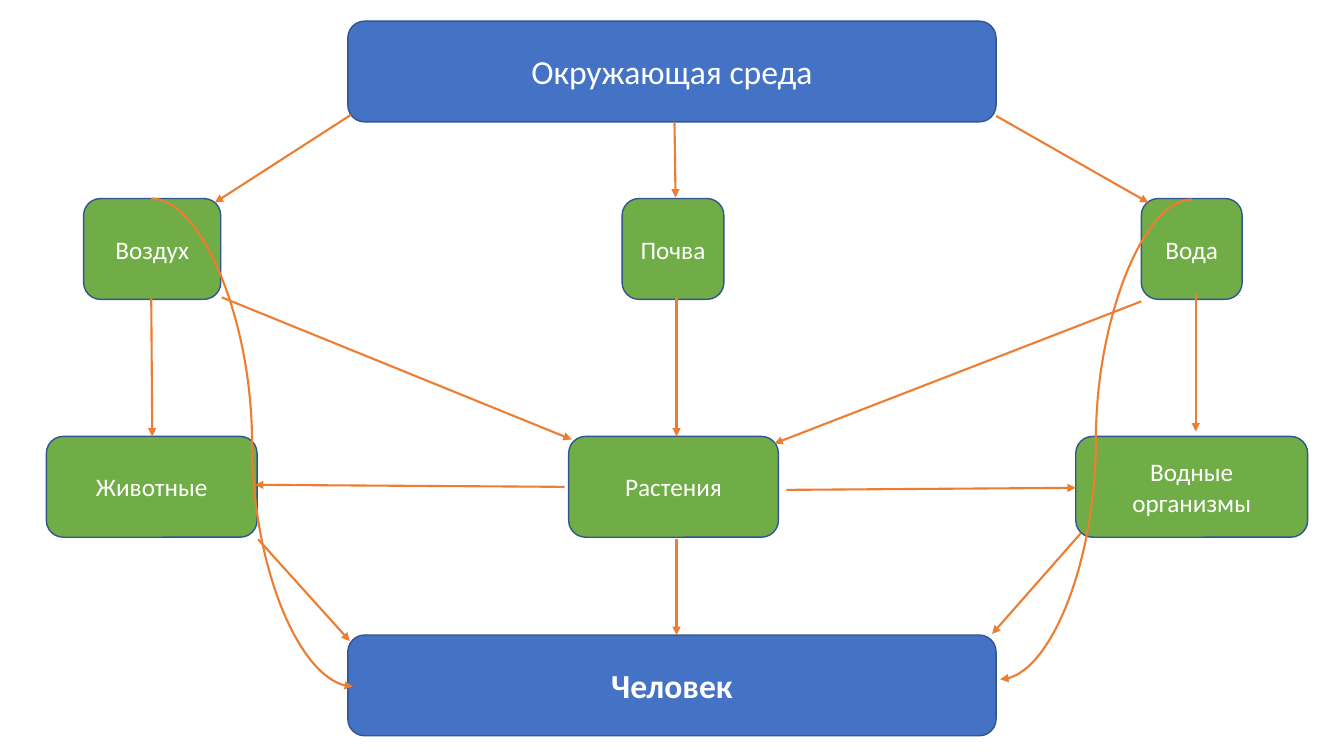
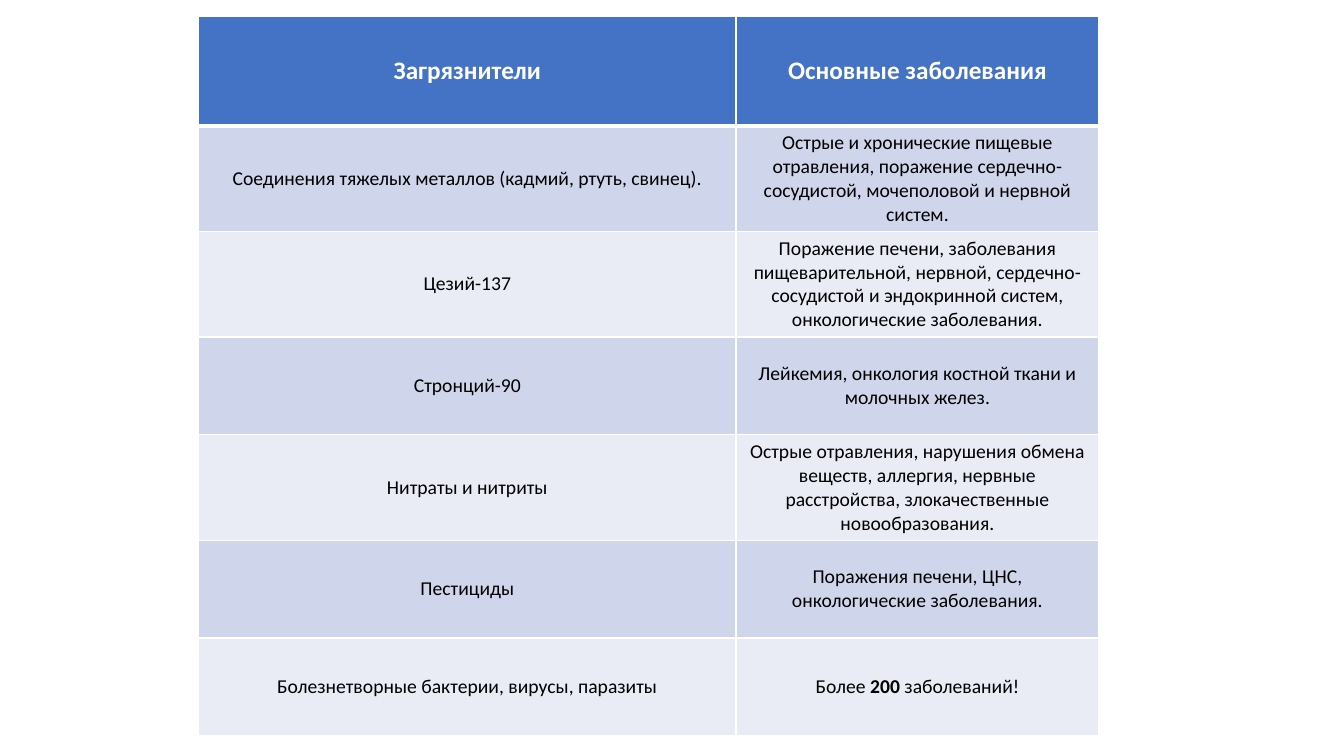
"""Build two slides: a diagram of the environment and a table of pollutants."""
import pptx
import pptx.util
import pptx.dml.color
import pptx.enum.shapes
import pptx.enum.text
import pptx.oxml
import pptx.oxml.ns
import lxml.etree

Inches = pptx.util.Inches
Pt = pptx.util.Pt
RGBColor = pptx.dml.color.RGBColor
Link = pptx.enum.shapes.MSO_CONNECTOR
qn = pptx.oxml.ns.qn

FONT = "Calibri"
WHITE = RGBColor(0xFF, 0xFF, 0xFF)
BLACK = RGBColor(0, 0, 0)
BLUE = RGBColor(0x44, 0x72, 0xC4)
EDGE = RGBColor(0x32, 0x54, 0x91)
GREEN = RGBColor(0x70, 0xAD, 0x47)
ORANGE = RGBColor(0xED, 0x7D, 0x31)
BANDS = [RGBColor(0xE9, 0xEB, 0xF5), RGBColor(0xCF, 0xD5, 0xEA)]

TALL = 1
LEVELS = [
    (0.21, BLUE, 24, False, [("Окружающая среда", 3.45, 6.43)]),
    (6.3, BLUE, 24, True, [("Человек", 3.45, 6.43)]),
    (1.97, GREEN, 18, False,
     [("Воздух", 0.83, 1.36), ("Вода", 11.32, 1), ("Почва", 6.17, 1.01)]),
    (4.33, GREEN, 18, False,
     [("Животные", 0.46, 2.09), ("Растения", 5.64, 2.08),
      ("Водные организмы", 10.67, 2.3)]),
]

ARROWS = [
    (1.5, 2.96, 1.51, 4.33),
    (11.32, 2.99, 7.68, 4.4),
    (2.2, 2.95, 5.67, 4.36),
    (6.71, 2.96, 6.71, 4.33),
    (7.8, 4.86, 10.67, 4.84),
    (5.6, 4.83, 2.53, 4.81),
    (11.86, 2.91, 11.86, 4.28),
    (6.71, 5.35, 6.71, 6.3),
    (2.56, 5.35, 3.47, 6.36),
    (10.72, 5.29, 9.84, 6.29),
]
CURVES = [(1.5, 1.97, 3.5, 6.81), (11.82, 1.98, 9.92, 6.74)]
TOPS = [
    (6.69, 1.21, 6.7, 1.96),
    (3.48, 1.14, 2.13, 2.01),
    (9.88, 1.15, 11.39, 2.01),
]

COLS = [5.33, 3.6]
ROWS = [
    (1.09, "Загрязнители", "Основные заболевания"),
    (1.04, "Соединения тяжелых металлов (кадмий, ртуть, свинец).",
     "Острые и хронические пищевые отравления, поражение "
     "сердечно-сосудистой, мочеполовой и нервной систем."),
    (1.04, "Цезий-137",
     "Поражение печени, заболевания пищеварительной, нервной, "
     "сердечно-сосудистой и эндокринной систем, онкологические заболевания."),
    (0.97, "Стронций-90", "Лейкемия, онкология костной ткани и молочных желез."),
    (1.04, "Нитраты и нитриты",
     "Острые отравления, нарушения обмена веществ, аллергия, нервные "
     "расстройства, злокачественные новообразования."),
    (0.97, "Пестициды", "Поражения печени, ЦНС, онкологические заболевания."),
    (0.97, "Болезнетворные бактерии, вирусы, паразиты",
     [("Более ", False), ("200 ", True), ("заболеваний!", False)]),
]


def write(frame, runs, size, color):
    """Put centred runs, each a text and a bold flag, into a frame."""
    para = frame.paragraphs[0]
    para.alignment = pptx.enum.text.PP_ALIGN.CENTER
    for text, bold in runs:
        run = para.add_run()
        run.text = text
        run.font.name = FONT
        run.font.size = Pt(size)
        run.font.bold = bold
        run.font.color.rgb = color


def add_box(slide, spot, fill, text, size, bold):
    """Add a rounded box with a centred label."""
    kind = pptx.enum.shapes.MSO_SHAPE.ROUNDED_RECTANGLE
    box = slide.shapes.add_shape(kind, *map(Inches, spot))
    box.shadow.inherit = False
    box.fill.solid()
    box.fill.fore_color.rgb = fill
    box.line.color.rgb = EDGE
    box.line.width = Pt(1)
    box.text_frame.word_wrap = True
    box.text_frame.vertical_anchor = pptx.enum.text.MSO_ANCHOR.MIDDLE
    write(box.text_frame, [(text, bold)], size, WHITE)


def add_arrow(slide, kind, ends):
    """Add an orange arrow between two points."""
    link = slide.shapes.add_connector(kind, *map(Inches, ends))
    link.line.color.rgb = ORANGE
    link.line.width = Pt(1.5)
    props = link.element.spPr
    lxml.etree.SubElement(props.find(qn("a:ln")), qn("a:tailEnd"), type="triangle")
    lxml.etree.SubElement(props, qn("a:effectLst"))


def add_edges(cell, top, base):
    """Draw white cell borders with the given top and bottom widths."""
    props = cell._tc.get_or_add_tcPr()
    for side, width in (("L", 1), ("R", 1), ("T", top), ("B", base)):
        line = lxml.etree.SubElement(props, qn("a:ln" + side), w=str(Pt(width)))
        fill = lxml.etree.SubElement(line, qn("a:solidFill"))
        lxml.etree.SubElement(fill, qn("a:srgbClr"), val=str(WHITE))


def draw_scheme(slide):
    """Draw the boxes and the arrows between them."""
    for top, fill, size, bold, boxes in LEVELS:
        for text, left, width in boxes:
            add_box(slide, (left, top, width, TALL), fill, text, size, bold)
    for kind, group in ((Link.STRAIGHT, ARROWS), (Link.CURVE, CURVES),
                        (Link.STRAIGHT, TOPS)):
        for ends in group:
            add_arrow(slide, kind, ends)


def draw_table(slide):
    """Draw the table of pollutants and diseases."""
    spot = (1.97, 0.16, sum(COLS), sum(row[0] for row in ROWS))
    table = slide.shapes.add_table(len(ROWS), len(COLS), *map(Inches, spot)).table
    for col, width in zip(table.columns, COLS):
        col.width = Inches(width)
    for i, (height, *texts) in enumerate(ROWS):
        head = i == 0
        table.rows[i].height = Inches(height)
        for j, text in enumerate(texts):
            cell = table.cell(i, j)
            add_edges(cell, 3 if i == 1 else 1, 3 if head else 1)
            cell.fill.solid()
            cell.fill.fore_color.rgb = BLUE if head else BANDS[i % 2]
            cell.vertical_anchor = pptx.enum.text.MSO_ANCHOR.MIDDLE
            runs = [(text, head)] if isinstance(text, str) else text
            write(cell.text_frame, runs, 18 if head else 14, WHITE if head else BLACK)


deck = pptx.Presentation()
deck.slide_width = Inches(13.33)
deck.slide_height = Inches(7.5)
for draw in (draw_scheme, draw_table):
    draw(deck.slides.add_slide(deck.slide_layouts[6]))
deck.save("out.pptx")
